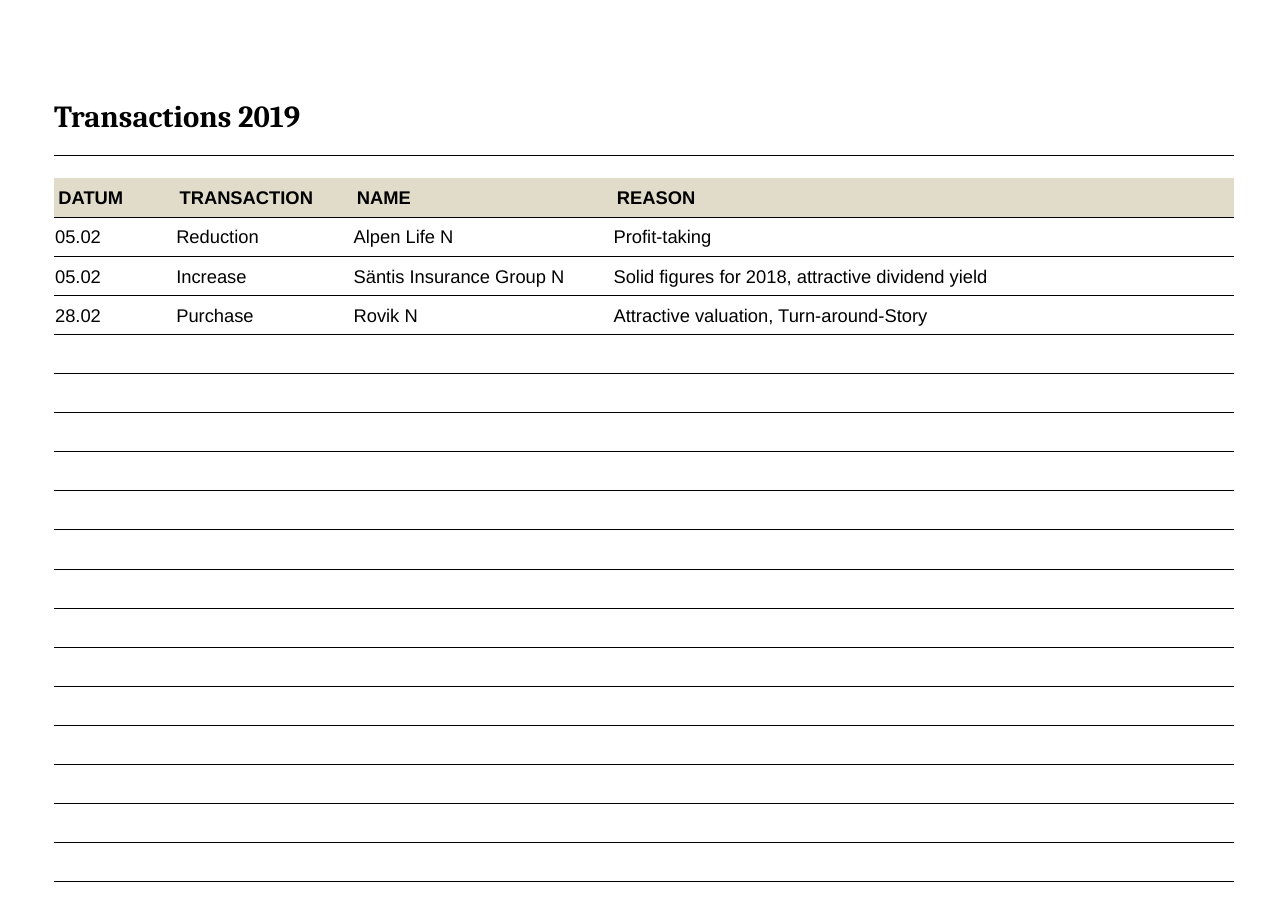
import dataclasses

import lxml.etree
import pptx
import pptx.dml.color
import pptx.enum.shapes
import pptx.enum.text
import pptx.oxml.ns
import pptx.util

Pt = pptx.util.Pt
RGBColor = pptx.dml.color.RGBColor


@dataclasses.dataclass(frozen=True)
class Theme:
    ink: str = "000000"
    header_fill: str = "E1DCCA"
    row_fill: str = "FFFFFF"
    title_font: str = "Cambria"
    text_font: str = "Arial"
    title_size: float = 20
    text_size: float = 12
    rule_width: float = 0.5
    border_width: float = 0.4


THEME = Theme()
LEFT = 35.3
TABLE_TOP = 116.64
ROW_HEIGHT = 25.52
ROW_COUNT = 18
COLUMN_WIDTHS = (79.2, 115.9, 169.9, 406.1)
TABLE_WIDTH = sum(COLUMN_WIDTHS)
TRANSACTIONS = (
    ("DATUM", "TRANSACTION", "NAME", "REASON"),
    ("05.02", "Reduction", "Alpen Life N", "Profit-taking"),
    ("05.02", "Increase", "Säntis Insurance Group N",
     "Solid figures for 2018, attractive dividend yield"),
    ("28.02", "Purchase", "Rovik N", "Attractive valuation, Turn-around-Story"),
)


def add_run(paragraph, text, font_name, size, bold):
    run = paragraph.add_run()
    run.text = text
    run.font.name = font_name
    run.font.size = Pt(size)
    run.font.bold = bold
    run.font.color.rgb = RGBColor.from_string(THEME.ink)


def set_margins(target, left, top, right, bottom):
    target.margin_left = Pt(left)
    target.margin_top = Pt(top)
    target.margin_right = Pt(right)
    target.margin_bottom = Pt(bottom)


def fill_title(slide, text):
    title = slide.shapes.title
    title.left, title.top = Pt(LEFT), Pt(34.6)
    title.width, title.height = Pt(572.4), Pt(53.3)
    frame = title.text_frame
    frame.word_wrap = True
    frame.auto_size = pptx.enum.text.MSO_AUTO_SIZE.NONE
    frame.vertical_anchor = pptx.enum.text.MSO_ANCHOR.BOTTOM
    set_margins(frame, 0, 0, 0, 0)
    paragraph = frame.paragraphs[0]
    paragraph.alignment = pptx.enum.text.PP_ALIGN.LEFT
    paragraph.line_spacing = 0.9
    add_run(paragraph, text, THEME.title_font, THEME.title_size, True)


def add_rule(slide, top):
    rule = slide.shapes.add_connector(
        pptx.enum.shapes.MSO_CONNECTOR.STRAIGHT,
        Pt(LEFT), Pt(top), Pt(LEFT + TABLE_WIDTH), Pt(top))
    rule.line.color.rgb = RGBColor.from_string(THEME.ink)
    rule.line.width = Pt(THEME.rule_width)
    lxml.etree.SubElement(rule._element.spPr, pptx.oxml.ns.qn("a:effectLst"))


def set_borders(cell, visible_sides):
    """Draw the named sides (L, R, T, B) and clear the others."""
    qn = pptx.oxml.ns.qn
    properties = cell._tc.get_or_add_tcPr()
    for index, side in enumerate("LRTB"):
        border = lxml.etree.Element(qn("a:ln" + side))
        properties.insert(index, border)
        if side in visible_sides:
            border.set("w", str(Pt(THEME.border_width)))
            fill = lxml.etree.SubElement(border, qn("a:solidFill"))
            lxml.etree.SubElement(fill, qn("a:srgbClr"), val=THEME.ink)
        else:
            border.set("w", "0")
            lxml.etree.SubElement(border, qn("a:noFill"))


def format_cell(cell, is_header):
    cell.vertical_anchor = pptx.enum.text.MSO_ANCHOR.MIDDLE
    if is_header:
        set_margins(cell, 2.88, 2.88, 2.88, 2.88)
    else:
        set_margins(cell, 0.72, 0.72, 0.72, 0)
    cell.fill.solid()
    color = THEME.header_fill if is_header else THEME.row_fill
    cell.fill.fore_color.rgb = RGBColor.from_string(color)
    set_borders(cell, "B" if is_header else "TB")


def add_transaction_table(slide):
    table = slide.shapes.add_table(
        ROW_COUNT, len(COLUMN_WIDTHS), Pt(LEFT), Pt(TABLE_TOP),
        Pt(TABLE_WIDTH), Pt(ROW_HEIGHT * ROW_COUNT)).table
    table.horz_banding = False
    for column, width in zip(table.columns, COLUMN_WIDTHS):
        column.width = Pt(width)
    for row_index, row in enumerate(table.rows):
        row.height = Pt(ROW_HEIGHT)
        for cell in row.cells:
            format_cell(cell, row_index == 0)
    for row_index, texts in enumerate(TRANSACTIONS):
        for cell, text in zip(table.rows[row_index].cells, texts):
            add_run(cell.text_frame.paragraphs[0], text,
                    THEME.text_font, THEME.text_size, row_index == 0)


def main():
    presentation = pptx.Presentation()
    presentation.slide_width = Pt(841.68)
    presentation.slide_height = Pt(595.44)
    title_only = presentation.slide_layouts[5]
    slide = presentation.slides.add_slide(title_only)
    fill_title(slide, "Transactions 2019")
    add_rule(slide, 101.5)
    add_transaction_table(slide)
    presentation.save("out.pptx")


if __name__ == "__main__":
    main()
